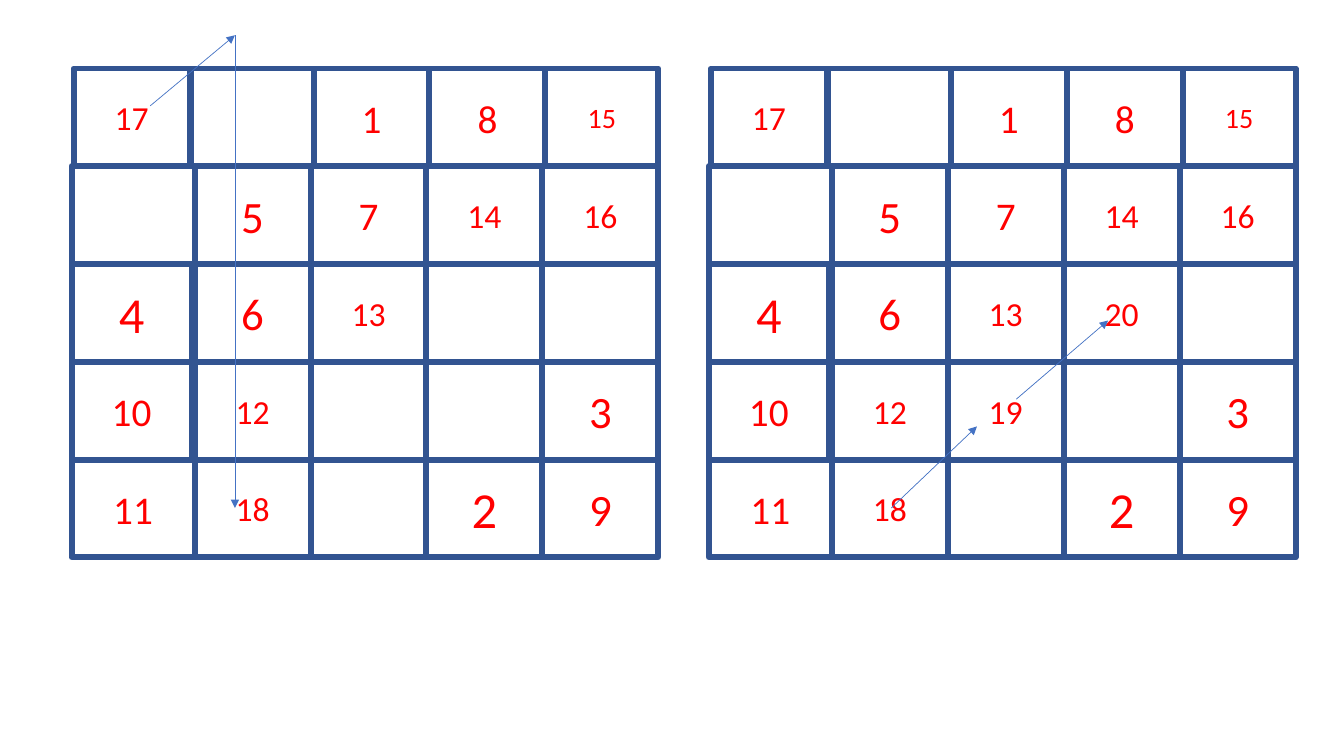
from lxml.etree import SubElement
from pptx import Presentation
from pptx.dml.color import RGBColor
from pptx.enum.shapes import MSO_CONNECTOR, MSO_SHAPE
from pptx.enum.text import MSO_ANCHOR, PP_ALIGN
from pptx.oxml.ns import qn
from pptx.util import Inches, Pt


def paint(target, color):
    target.rgb = RGBColor.from_string(color)


deck = Presentation()
deck.slide_width = Inches(13.33)
deck.slide_height = Inches(7.5)
slide = deck.slides.add_slide(deck.slide_layouts[6])

start = [
    [17, None, 1, 8, 15],
    [None, 5, 7, 14, 16],
    [4, 6, 13, None, None],
    [10, 12, None, None, 3],
    [11, 18, None, 2, 9],
]
final = [list(row) for row in start]
final[3][2] = 19
final[2][3] = 20

sizes = {1: 28, 2: 36, 3: 32, 4: 36, 5: 32, 6: 32, 7: 28, 8: 28,
         9: 32, 10: 28, 11: 28, 15: 20}
lefts = [[0.73, 1.89, 3.11, 4.26, 5.41]] + [[0.71, 1.93, 3.08, 4.23, 5.38]] * 4
widths = [
    [1.15, 1.22, 1.15, 1.15, 1.12],
    [1.22, 1.15, 1.15, 1.15, 1.15],
    [1.19, 1.15, 1.15, 1.15, 1.15],
    [1.19, 1.15, 1.15, 1.15, 1.15],
    [1.22, 1.15, 1.15, 1.15, 1.15],
]
height = 0.97

for shift, square in [(0, start), (6.32, final)]:
    group = slide.shapes.add_group_shape()
    for r, row in enumerate(square):
        for c, number in enumerate(row):
            cell = group.shapes.add_shape(
                MSO_SHAPE.RECTANGLE,
                Inches(lefts[r][c] + shift), Inches(0.68 + r * height),
                Inches(widths[r][c]), Inches(height))
            cell.shadow.inherit = False
            cell.fill.background()
            paint(cell.line.color, "325491")
            cell.line.width = Pt(4.25)
            if number is None:
                continue
            frame = cell.text_frame
            frame.vertical_anchor = MSO_ANCHOR.MIDDLE
            label = frame.paragraphs[0]
            label.text = str(number)
            label.alignment = PP_ALIGN.CENTER
            label.font.name = "Calibri"
            label.font.size = Pt(sizes.get(number, 24))
            paint(label.font.color, "FF0000")

moves = [
    (1.49, 1.05, 2.33, 0.35),
    (2.33, 0.35, 2.33, 5.04),
    (8.84, 5.04, 9.69, 4.23),
    (10.08, 3.96, 10.99, 3.18),
]
for move in moves:
    arrow = slide.shapes.add_connector(
        MSO_CONNECTOR.STRAIGHT, *[Inches(value) for value in move])
    paint(arrow.line.color, "4472C4")
    arrow.line.width = Pt(0.5)
    SubElement(arrow.line._get_or_add_ln(), qn("a:tailEnd"), type="triangle")
    SubElement(arrow._element.spPr, qn("a:effectLst"))

deck.save("out.pptx")
